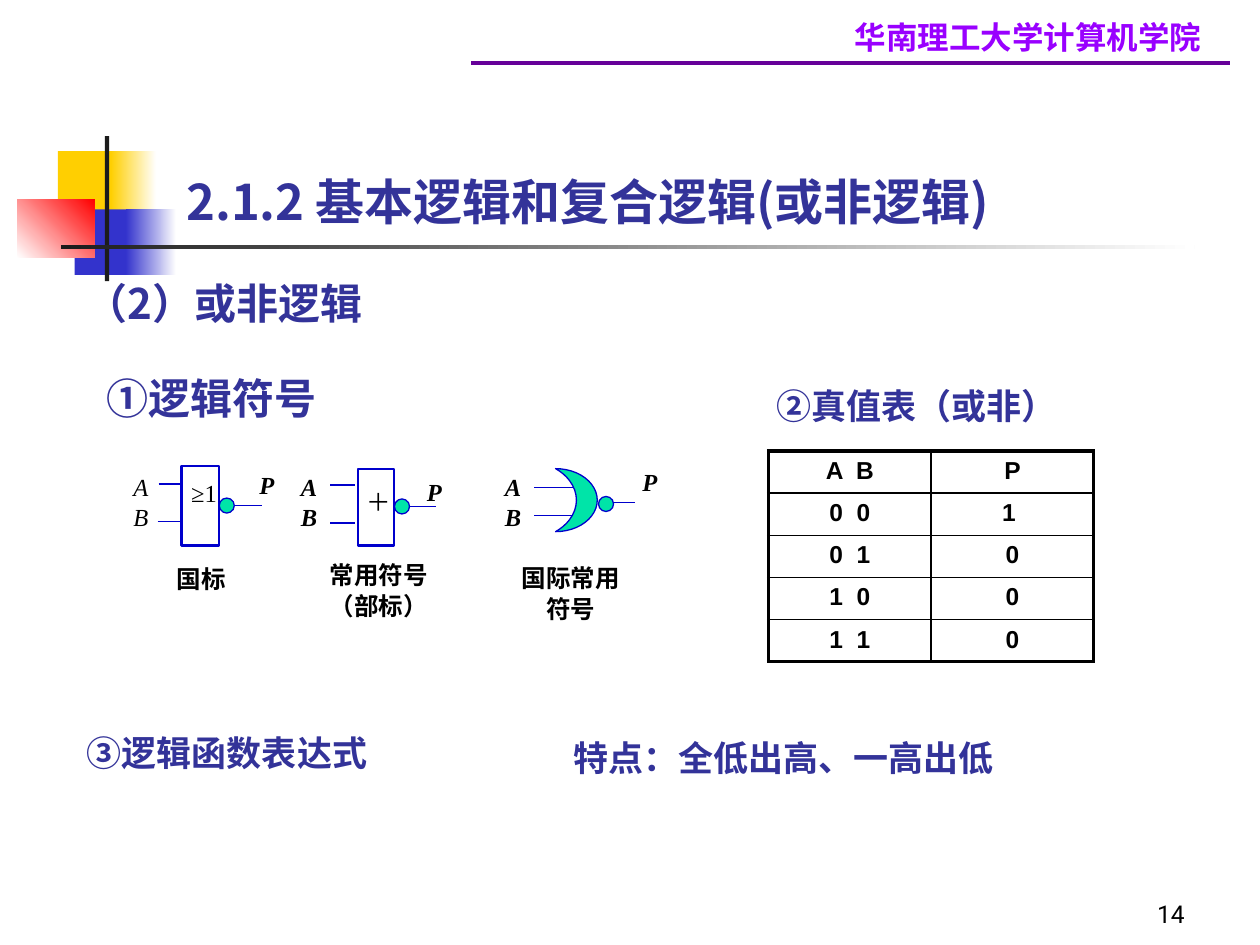
import pptx
import pptx.dml.color
import pptx.enum.shapes
import pptx.enum.text
import pptx.oxml
import pptx.oxml.ns
import pptx.util
from lxml import etree
from dataclasses import dataclass

Pt = pptx.util.Pt
Shape = pptx.enum.shapes.MSO_SHAPE
Align = pptx.enum.text.PP_ALIGN
Anchor = pptx.enum.text.MSO_ANCHOR
qn = pptx.oxml.ns.qn


@dataclass(frozen=True)
class Theme:
    """Colours, fonts and type sizes."""
    ink: str = "000000"
    paper: str = "FFFFFF"
    heading: str = "333399"
    school: str = "9900FF"
    school_rule: str = "660099"
    yellow: str = "FFCF01"
    blue: str = "3333CC"
    red: str = "FF0000"
    dark: str = "1C1C1C"
    wire: str = "0000CC"
    gate: str = "00E4A8"
    cjk: str = "Noto Sans CJK SC"
    serif: str = "Times New Roman"
    sans: str = "Arial"
    number: str = "Roboto"
    title_size: float = 28
    section_size: float = 24
    point_size: float = 20
    school_size: float = 18
    small_size: float = 14


def rgb(color):
    """Turn a hex string into a colour."""
    return pptx.dml.color.RGBColor.from_string(color)


def apply(target, values):
    """Set every attribute named in a dict."""
    for name, value in values.items():
        setattr(target, name, value)


class Painter:
    """Draws elements on one slide in one theme."""

    def __init__(self, slide, theme):
        """Keep the slide and its style."""
        self.slide, self.theme = slide, theme

    def fill_frame(self, frame, text, size, font, color, bold=True, italic=False,
                   paragraph=None):
        """Fill a text frame, one paragraph a line."""
        for index, line in enumerate(text.split("\n")):
            para = frame.paragraphs[0] if index == 0 else frame.add_paragraph()
            apply(para, paragraph or {})
            run = para.add_run()
            run.text = line
            apply(run.font, {"size": Pt(size), "name": font, "bold": bold, "italic": italic})
            run.font.color.rgb = rgb(color)
            east = etree.SubElement(run.font._element, qn("a:ea"))
            east.set("typeface", self.theme.cjk)

    def text(self, box, text, size, font, color, anchor=Anchor.TOP, **style):
        """Add a wrapped text box."""
        frame = self.slide.shapes.add_textbox(*map(Pt, box)).text_frame
        apply(frame, {"word_wrap": True, "vertical_anchor": anchor})
        self.fill_frame(frame, text, size, font, color, **style)

    def heading(self, box, text, size, align=Align.LEFT):
        """Add a bold heading."""
        self.text(box, text, size, self.theme.cjk, self.theme.heading,
                  paragraph={"alignment": align})

    def shape(self, kind, box, fill=None, line=None, width=0.75, angle=0, rotation=0):
        """Add a preset shape; a pair of fills makes a gradient."""
        shape = self.slide.shapes.add_shape(kind, *map(Pt, box))
        shape.shadow.inherit = False
        shape.rotation = rotation
        if fill is None:
            shape.fill.background()
        elif isinstance(fill, tuple):
            shape.fill.gradient()
            shape.fill.gradient_angle = angle
            for stop, color in zip(shape.fill.gradient_stops, fill):
                stop.color.rgb = rgb(color)
        else:
            shape.fill.solid()
            shape.fill.fore_color.rgb = rgb(fill)
        if line:
            shape.line.color.rgb = rgb(line)
            shape.line.width = Pt(width)
        else:
            shape.line.fill.background()

    def rule(self, left, right, y, color, width=0.75):
        """Add a horizontal line."""
        line = self.slide.shapes.add_connector(
            pptx.enum.shapes.MSO_CONNECTOR.STRAIGHT, Pt(left), Pt(y), Pt(right), Pt(y))
        line.line.color.rgb = rgb(color)
        line.line.width = Pt(width)
        etree.SubElement(line._element.spPr, qn("a:effectLst"))

    def gate(self, inputs, output, caption, leads, out, bubble, body,
             name, kind=Shape.RECTANGLE, fill=None, width=1.25, rotation=0, bold=True):
        """Add a two-input gate with its labels, leads and caption."""
        t = self.theme
        for at, label, strong in ((inputs, "A\nB", bold), (output, "P", True)):
            self.text((*at, 28, 39), label, t.small_size, t.serif, t.ink, bold=strong,
                      italic=True, paragraph={"alignment": Align.JUSTIFY})
        self.text(caption, name, t.small_size, t.serif, t.ink,
                  paragraph={"alignment": Align.CENTER, "line_spacing": 1.04})
        for lead in (*leads, out):
            self.rule(*lead, t.wire)
        self.shape(Shape.OVAL, (*bubble, 8.6, 8.6), t.gate, t.wire)
        self.shape(kind, body, fill, t.wire, width, rotation=rotation)

    def borders(self, cell, widths):
        """Draw the left, right, top and bottom edges of a cell."""
        props = cell._tc.get_or_add_tcPr()
        for index, (side, width) in enumerate(zip(("lnL", "lnR", "lnT", "lnB"), widths)):
            edge = pptx.oxml.parse_xml(
                f'<a:{side} {pptx.oxml.ns.nsdecls("a")} w="{Pt(width)}"><a:solidFill>'
                f'<a:srgbClr val="{self.theme.ink}"/></a:solidFill></a:{side}>')
            props.insert(index, edge)

    def table(self, left, top, column, row, rows):
        """Add a table with a heavy frame and thin inner lines."""
        t, last, end = self.theme, len(rows) - 1, len(rows[0]) - 1
        grid = self.slide.shapes.add_table(
            last + 1, end + 1, Pt(left), Pt(top), Pt(column * (end + 1)),
            Pt(row * (last + 1))).table
        apply(grid, {"first_row": False, "horz_banding": False})
        for r, values in enumerate(rows):
            grid.rows[r].height = Pt(row)
            for c, value in enumerate(values):
                grid.columns[c].width = Pt(column)
                cell = grid.cell(r, c)
                cell.fill.background()
                self.fill_frame(cell.text_frame, value, t.small_size, t.sans, t.ink,
                                paragraph={"alignment": Align.CENTER})
                outer = (c == 0, c == end, r == 0, r == last)
                self.borders(cell, [2.25 if edge else 1 for edge in outer])


def main():
    """Build and save the slide."""
    deck = pptx.Presentation()
    apply(deck, {"slide_width": Pt(720), "slide_height": Pt(540)})
    t = Theme()
    page = Painter(deck.slides.add_slide(deck.slide_layouts[6]), t)

    for box, fill, angle in (
            ((33.1, 86.4, 34.6, 37.4), t.yellow, 0),
            ((63.4, 86.4, 25.9, 37.4), (t.yellow, t.paper), 0),
            ((42.7, 119.7, 33.1, 37.4), t.blue, 0),
            ((72, 119.7, 28.8, 37.4), (t.blue, t.paper), 0),
            ((10, 113.8, 44, 33.5), (t.paper, t.red), 45),
            ((59.9, 77.8, 2.5, 82.8), t.dark, 0),
            ((34.7, 140.1, 648, 2.5), (t.dark, t.paper), 0)):
        page.shape(Shape.RECTANGLE, box, fill, angle=angle)
    page.rule(269.2, 702.7, 36, t.school_rule, 2.25)
    page.text((230.4, 6.5, 467.3, 29), "华南理工大学计算机学院 ", t.school_size, t.cjk,
              t.school, paragraph={"alignment": Align.RIGHT})
    page.text((534.2, 498.2, 149.8, 36), "14", t.small_size, t.number, t.ink,
              Anchor.BOTTOM, bold=False, paragraph={"alignment": Align.RIGHT})

    page.heading((99.4, 94.3, 527.8, 41), "2.1.2 基本逻辑和复合逻辑(或非逻辑) ", t.title_size)
    page.heading((41.8, 154.8, 648, 36), "（2）或非逻辑", t.section_size)
    page.heading((54, 209.5, 192.2, 36), "①逻辑符号", t.section_size)
    page.heading((427.7, 216, 192.2, 31.7), "②真值表（或非）", t.point_size, Align.CENTER)
    page.heading((42.5, 414.7, 221, 31.7), "③逻辑函数表达式", t.point_size)
    page.heading((320.4, 417.6, 374.4, 31.7), "特点：全低出高、一高出低", t.point_size)

    page.gate(name="国标", inputs=(69.1, 266.4), output=(141.1, 265), bold=False,
              caption=(92.9, 318.2, 44.6, 23), body=(103.7, 266.4, 21.6, 45.4),
              leads=((90.7, 103.7, 276.5), (90, 103, 298.1)),
              out=(131.8, 149.8, 288.7), bubble=(125.3, 284.6))
    page.gate(name="常用符号\n（部标）", inputs=(164.9, 266.4), output=(236.9, 269.3),
              caption=(172.1, 316.1, 88.6, 43.2), body=(204.5, 267.8, 20.9, 43.9),
              leads=((188.6, 203, 277.2), (188.6, 203, 298.8)),
              out=(226.8, 249.1, 289.4), bubble=(225.4, 285.1))
    page.gate(name="国际常用符号", inputs=(281.5, 266.4), output=(360, 263.5),
              caption=(288, 317.5, 76.3, 49), body=(317.5, 267.8, 23.8, 36),
              leads=((305.3, 327.6, 278.6), (305.3, 327.6, 294.5)),
              out=(349.2, 362.9, 287.3), bubble=(342, 283.7),
              kind=Shape.MOON, fill=t.gate, width=0.75, rotation=180)
    page.text((102.2, 265, 34.6, 22.3), "≥1", t.small_size, t.serif, t.ink, bold=False,
              paragraph={"alignment": Align.JUSTIFY, "line_spacing": 1.28})
    page.text((198.7, 275, 36, 28.8), "＋", t.small_size, t.cjk, t.ink, bold=False,
              paragraph={"alignment": Align.CENTER})

    page.table(439.2, 257.8, 92.9, 24, (
        ("A  B", "P"), ("0  0", "1 "), ("0  1", "0"), ("1  0", "0"), ("1  1", "0")))
    deck.save("out.pptx")


main()
